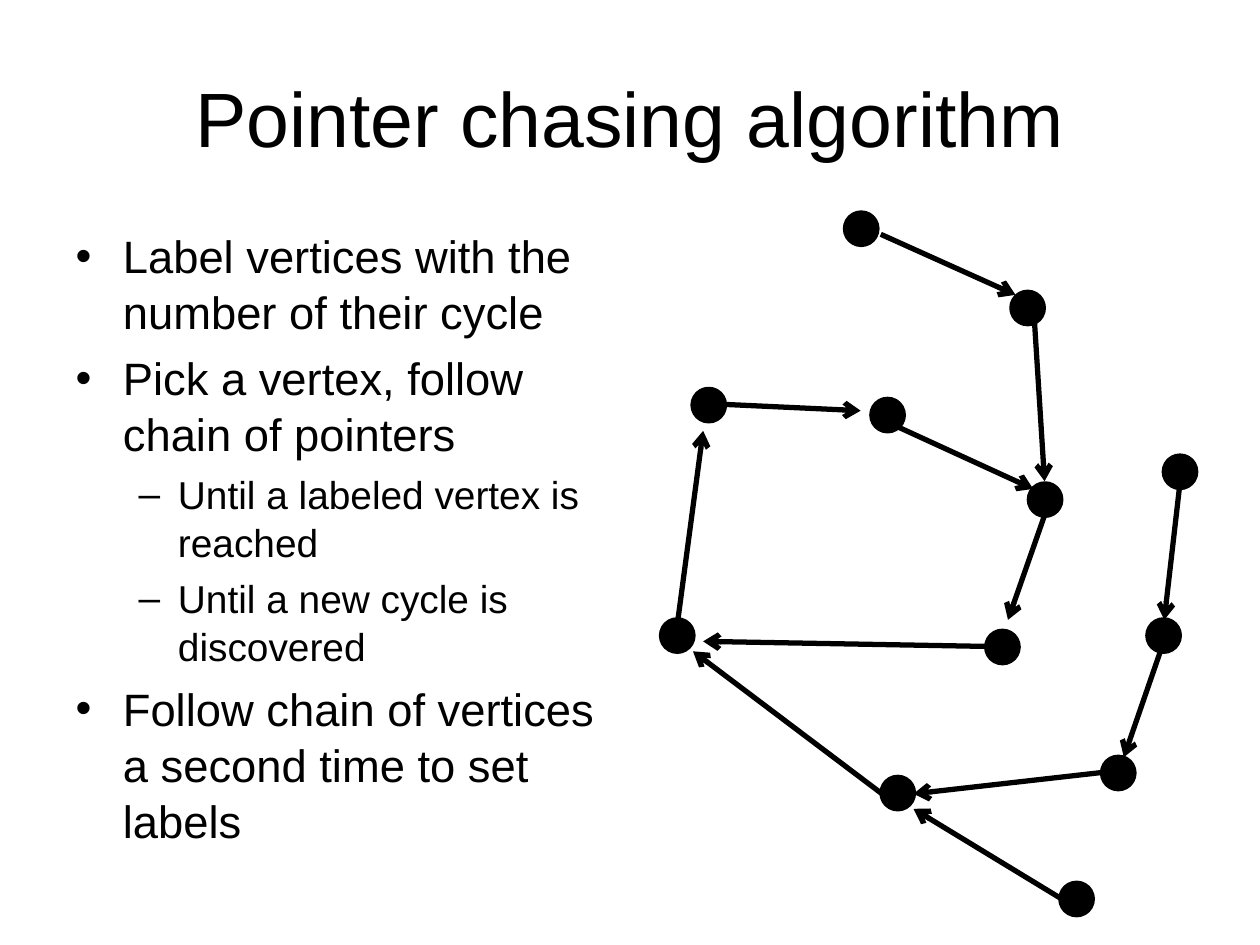
from lxml import etree
from pptx import Presentation
from pptx import util as u
from pptx.dml.color import RGBColor
from pptx.enum import shapes, text
from pptx.oxml import ns

BLACK = RGBColor(0, 0, 0)
WHITE = RGBColor(255, 255, 255)
FONT = "Arial"
DOT = 18
LINE = 3

ITEMS = [
    (0, "Label vertices with the number of their cycle"),
    (0, "Pick a vertex, follow chain of pointers"),
    (1, "Until a labeled vertex is reached"),
    (1, "Until a new cycle is discovered"),
    (0, "Follow chain of vertices a second time to set labels"),
]
SIZES = [25.9, 22.2]
GAPS = [5.6, 4.8]

DOTS = [
    (498.2, 228.2), (588.2, 276.5), (396, 222.5), (563.8, 360.7),
    (378, 354.2), (578.2, 167), (504, 444.2), (606.2, 504.7),
    (630, 432.7), (655.9, 354.2), (483.1, 121.7), (665.3, 260.6),
]
ARROWS = [
    ((513.4, 244.1), (590.4, 279.4)),
    ((596.9, 294.5), (576, 354.2)),
    ((563.8, 369.4), (401.8, 366.5)),
    ((414, 231.1), (491.8, 234.7)),
    ((387.4, 354.2), (401.8, 246.2)),
    ((591.1, 182.9), (596.9, 275)),
    ((504, 453.6), (396, 372.2)),
    ((630, 441.4), (522, 453.6)),
    ((606.2, 513.4), (522, 462.2)),
    ((503.3, 133.9), (580.3, 168.5)),
    ((663.1, 372.2), (642.2, 432.7)),
    ((673.9, 279.4), (665.3, 354.2)),
]


class Board:
    def __init__(self, slide):
        self.slide = slide
        fill = slide.background.fill
        fill.solid()
        fill.fore_color.rgb = WHITE

    def place(self, shape, x, y, w, h):
        shape.left, shape.top = u.Pt(x), u.Pt(y)
        shape.width, shape.height = u.Pt(w), u.Pt(h)
        frame = shape.text_frame
        frame.word_wrap = True
        frame.auto_size = text.MSO_AUTO_SIZE.NONE
        return frame

    def put(self, para, words, size):
        run = para.add_run()
        run.text = words
        run.font.name = FONT
        run.font.size = u.Pt(size)
        run.font.color.rgb = BLACK

    def title(self, words, box):
        frame = self.place(self.slide.shapes.title, *box)
        frame.vertical_anchor = text.MSO_ANCHOR.MIDDLE
        para = frame.paragraphs[0]
        para.alignment = text.PP_ALIGN.CENTER
        self.put(para, words, 44)

    def bullets(self, items, box):
        frame = self.place(self.slide.placeholders[1], *box)
        for i, (level, words) in enumerate(items):
            para = frame.add_paragraph() if i else frame.paragraphs[0]
            para.level = level
            para.line_spacing = 1.03
            para.space_before = u.Pt(GAPS[level])
            self.put(para, words, SIZES[level])

    def dot(self, x, y):
        shape = self.slide.shapes.add_shape(
            shapes.MSO_SHAPE.OVAL, u.Pt(x), u.Pt(y), u.Pt(DOT), u.Pt(DOT))
        shape.shadow.inherit = False
        shape.fill.solid()
        shape.fill.fore_color.rgb = BLACK
        shape.line.color.rgb = BLACK
        shape.line.width = u.Pt(LINE)

    def arrow(self, start, end):
        link = self.slide.shapes.add_connector(
            shapes.MSO_CONNECTOR.STRAIGHT, *map(u.Pt, start + end))
        link.line.color.rgb = BLACK
        link.line.width = u.Pt(LINE)
        props = link.element.spPr
        etree.SubElement(props.find(ns.qn("a:ln")), ns.qn("a:tailEnd"), type="arrow")
        etree.SubElement(props, ns.qn("a:effectLst"))


def main():
    deck = Presentation()
    deck.slide_width, deck.slide_height = u.Pt(720), u.Pt(540)
    board = Board(deck.slides.add_slide(deck.slide_layouts[1]))
    board.title("Pointer chasing algorithm", (36, 21.6, 648, 90))
    board.bullets(ITEMS, (36, 126, 318.2, 356.4))
    for spot in DOTS:
        board.dot(*spot)
    for start, end in ARROWS:
        board.arrow(start, end)
    deck.save("out.pptx")


if __name__ == "__main__":
    main()
